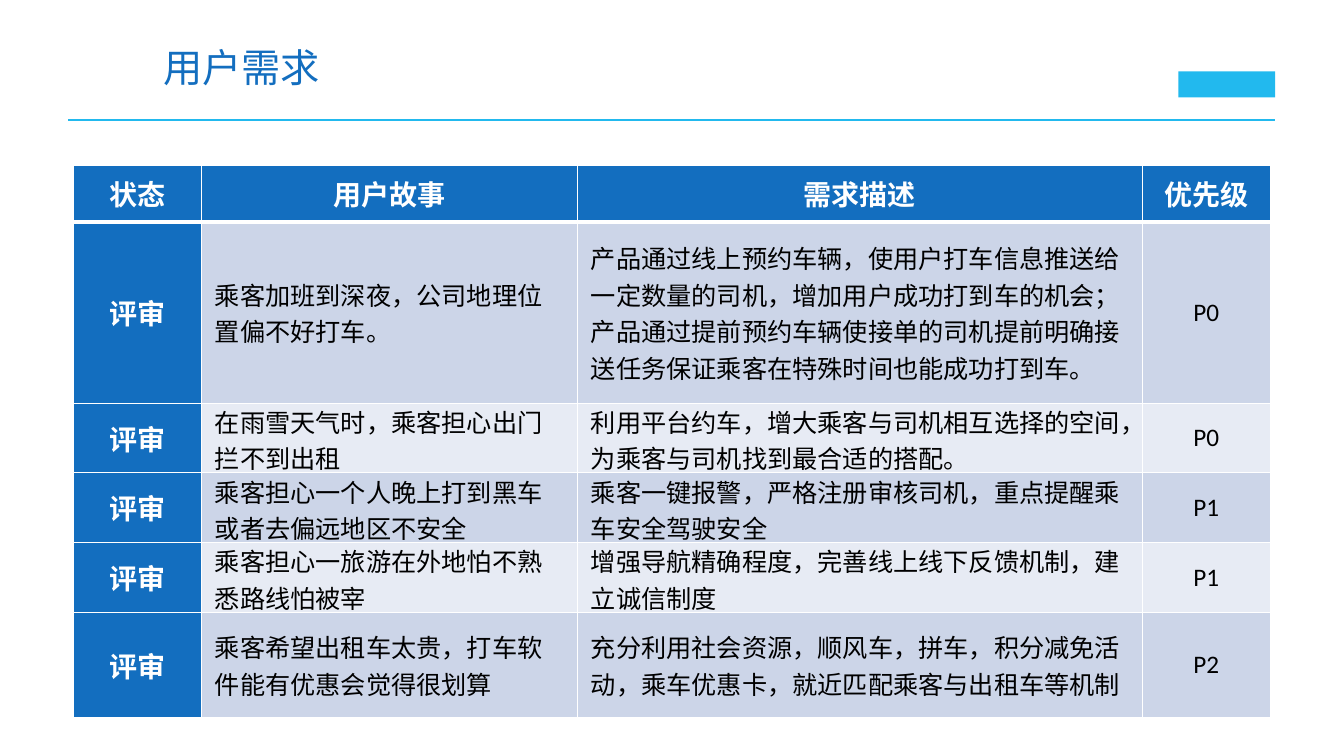
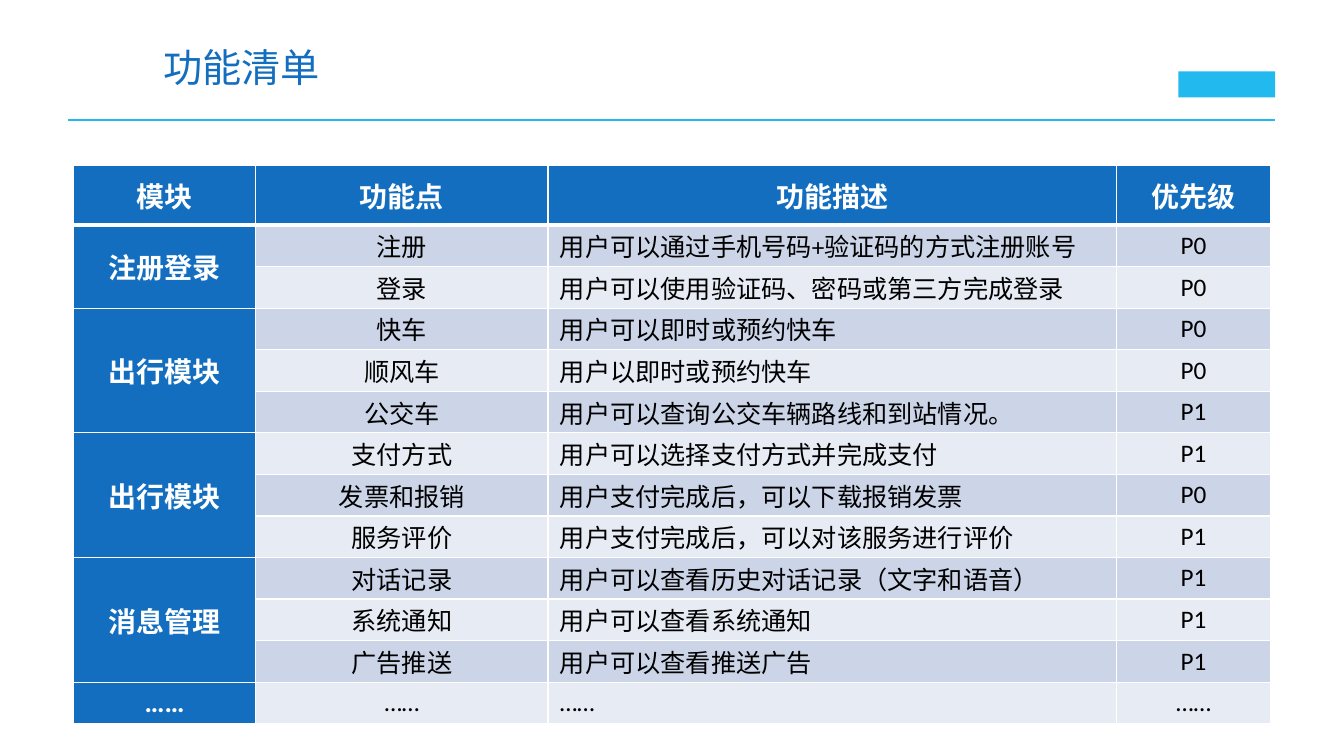
from lxml import etree
from pptx import Presentation
from pptx import util as u
from pptx.dml.color import RGBColor
from pptx.enum import shapes, text
from pptx.oxml import ns

EMU_PER_PX = 3810
CJK_FONT = "Noto Sans CJK SC"


def px(length):
    """Turn whole px into EMU."""
    return u.Emu(length * EMU_PER_PX)


def rgb(value):
    """Turn a hex string into a colour."""
    return RGBColor.from_string(value)


def write(frame, words, size=18, color="000000", bold=False, align="LEFT", font="Calibri"):
    """Put one formatted paragraph into a text frame."""
    paragraph = frame.paragraphs[0]
    paragraph.alignment = getattr(text.PP_ALIGN, align)
    run = paragraph.add_run()
    run.text = words
    run.font.size = u.Pt(size)
    run.font.bold = bold
    run.font.name = font
    run.font.color.rgb = rgb(color)
    east_asian = etree.Element(ns.qn("a:ea"), typeface=CJK_FONT)
    run.font._element.find(ns.qn("a:latin")).addnext(east_asian)


class Deck:
    """Hold the shared style and the current slide."""

    BLUE, CYAN, WHITE = "136EBF", "22B9EE", "FFFFFF"
    BANDS = ("CCD5E8", "E7EBF4")
    TABLE_LEFT, TABLE_TOP = 175, 394

    def __init__(self):
        """Start an empty wide presentation."""
        self.show = Presentation()
        self.show.slide_width, self.show.slide_height = px(3200), px(1800)
        self.slide = None

    def add_slide(self, title):
        """Add a slide with its title, rule and corner mark."""
        self.slide = self.show.slides.add_slide(self.show.slide_layouts[6])
        self.rule(163, 3036, 286)
        self.block(2806, 170, 230, 62)
        self.title(title)

    def rule(self, left, right, y):
        """Draw the horizontal line under the title."""
        line = self.slide.shapes.add_connector(
            shapes.MSO_CONNECTOR.STRAIGHT, px(left), px(y), px(right), px(y))
        line.line.color.rgb = rgb(self.CYAN)
        line.line.width = u.Pt(2)
        etree.SubElement(line._element.spPr, ns.qn("a:effectLst"))

    def block(self, left, top, width, height):
        """Draw a plain filled rectangle."""
        mark = self.slide.shapes.add_shape(
            shapes.MSO_SHAPE.RECTANGLE, px(left), px(top), px(width), px(height))
        mark.shadow.inherit = False
        mark.fill.solid()
        mark.fill.fore_color.rgb = rgb(self.CYAN)
        mark.line.fill.background()

    def title(self, words):
        """Write the slide title."""
        frame = self.slide.shapes.add_textbox(px(365), px(91), px(2686), px(137)).text_frame
        frame.word_wrap = True
        frame.auto_size = text.MSO_AUTO_SIZE.SHAPE_TO_FIT_TEXT
        frame.vertical_anchor = text.MSO_ANCHOR.MIDDLE
        write(frame, words, size=28, color=self.BLUE, font=CJK_FONT)

    def border(self, cell, side, points):
        """Give one side of a cell a white border."""
        edge = etree.SubElement(
            cell._tc.get_or_add_tcPr(), ns.qn(f"a:ln{side}"), w=str(u.Pt(points)))
        fill = etree.SubElement(edge, ns.qn("a:solidFill"))
        etree.SubElement(fill, ns.qn("a:srgbClr"), val=self.WHITE)

    def cell(self, cell, words, row, fill, margin, **style):
        """Fill, frame and write one table cell."""
        for side in "LRTB":
            thick = (row, side) in ((0, "B"), (1, "T"))
            self.border(cell, side, 3 if thick else 1)
        cell.fill.solid()
        cell.fill.fore_color.rgb = rgb(fill)
        cell.margin_left = cell.margin_right = px(margin)
        cell.margin_top = cell.margin_bottom = 0
        cell.vertical_anchor = text.MSO_ANCHOR.MIDDLE
        if words:
            write(cell.text_frame, words, **style)

    def table(self, rows, widths, heights, centred, margin):
        """Draw a banded table with a header row and a label column."""
        grid = self.slide.shapes.add_table(
            len(rows), len(widths), px(self.TABLE_LEFT), px(self.TABLE_TOP),
            px(sum(widths)), px(sum(heights))).table
        grid.horz_banding = False
        for column, width in zip(grid.columns, widths):
            column.width = px(width)
        for r, (values, height) in enumerate(zip(rows, heights)):
            grid.rows[r].height = px(height)
            for c, words in enumerate(values):
                if r == 0 or c == 0:
                    fill = self.BLUE
                    style = dict(size=20, color=self.WHITE, bold=True, align="CENTER")
                else:
                    fill = self.BANDS[(r - 1) % 2]
                    style = dict(align="CENTER" if c in centred else "LEFT")
                self.cell(grid.cell(r, c), words, r, fill, margin, **style)
        return grid


STORIES = [
    ("乘客加班到深夜，公司地理位置偏不好打车。",
     "产品通过线上预约车辆，使用户打车信息推送给一定数量的司机，增加用户成功打到车的机会；"
     "产品通过提前预约车辆使接单的司机提前明确接送任务保证乘客在特殊时间也能成功打到车。", "P0"),
    ("在雨雪天气时，乘客担心出门拦不到出租",
     "利用平台约车，增大乘客与司机相互选择的空间，为乘客与司机找到最合适的搭配。", "P0"),
    ("乘客担心一个人晚上打到黑车或者去偏远地区不安全",
     "乘客一键报警，严格注册审核司机，重点提醒乘车安全驾驶安全", "P1"),
    ("乘客担心一旅游在外地怕不熟悉路线怕被宰",
     "增强导航精确程度，完善线上线下反馈机制，建立诚信制度", "P1"),
    ("乘客希望出租车太贵，打车软件能有优惠会觉得很划算",
     "充分利用社会资源，顺风车，拼车，积分减免活动，乘车优惠卡，就近匹配乘客与出租车等机制", "P2"),
]

MODULES = [
    ("注册登录", [
        ("注册", "用户可以通过手机号码+验证码的方式注册账号", "P0"),
        ("登录", "用户可以使用验证码、密码或第三方完成登录", "P0")]),
    ("出行模块", [
        ("快车", "用户可以即时或预约快车", "P0"),
        ("顺风车", "用户以即时或预约快车", "P0"),
        ("公交车", "用户可以查询公交车辆路线和到站情况。", "P1")]),
    ("出行模块", [
        ("支付方式", "用户可以选择支付方式并完成支付", "P1"),
        ("发票和报销", "用户支付完成后，可以下载报销发票", "P0"),
        ("服务评价", "用户支付完成后，可以对该服务进行评价", "P1")]),
    ("消息管理", [
        ("对话记录", "用户可以查看历史对话记录（文字和语音）", "P1"),
        ("系统通知", "用户可以查看系统通知", "P1"),
        ("广告推送", "用户可以查看推送广告", "P1")]),
    ("……", [("……", "……", "……")]),
]


def needs_slide(deck):
    """Build the slide of user needs."""
    deck.add_slide("用户需求")
    rows = [("状态", "用户故事", "需求描述", "优先级")]
    rows += [("评审", *story) for story in STORIES]
    deck.table(rows, widths=(305, 895, 1345, 305),
               heights=(134, 432, 166, 166, 166, 250), centred=(3,), margin=32)


def features_slide(deck):
    """Build the slide of features grouped by module."""
    deck.add_slide("功能清单")
    rows = [("模块", "功能点", "功能描述", "优先级")]
    spans = []
    for module, features in MODULES:
        first = len(rows)
        rows += [("" if i else module, *feature) for i, feature in enumerate(features)]
        spans.append((first, len(rows) - 1))
    grid = deck.table(rows, widths=(434, 696, 1354, 366),
                      heights=[142] + [99] * (len(rows) - 1), centred=(1, 3), margin=28)
    for first, last in spans:
        if last > first:
            grid.cell(first, 0).merge(grid.cell(last, 0))


def main():
    """Build and save the deck."""
    deck = Deck()
    needs_slide(deck)
    features_slide(deck)
    deck.show.save("out.pptx")


if __name__ == "__main__":
    main()
